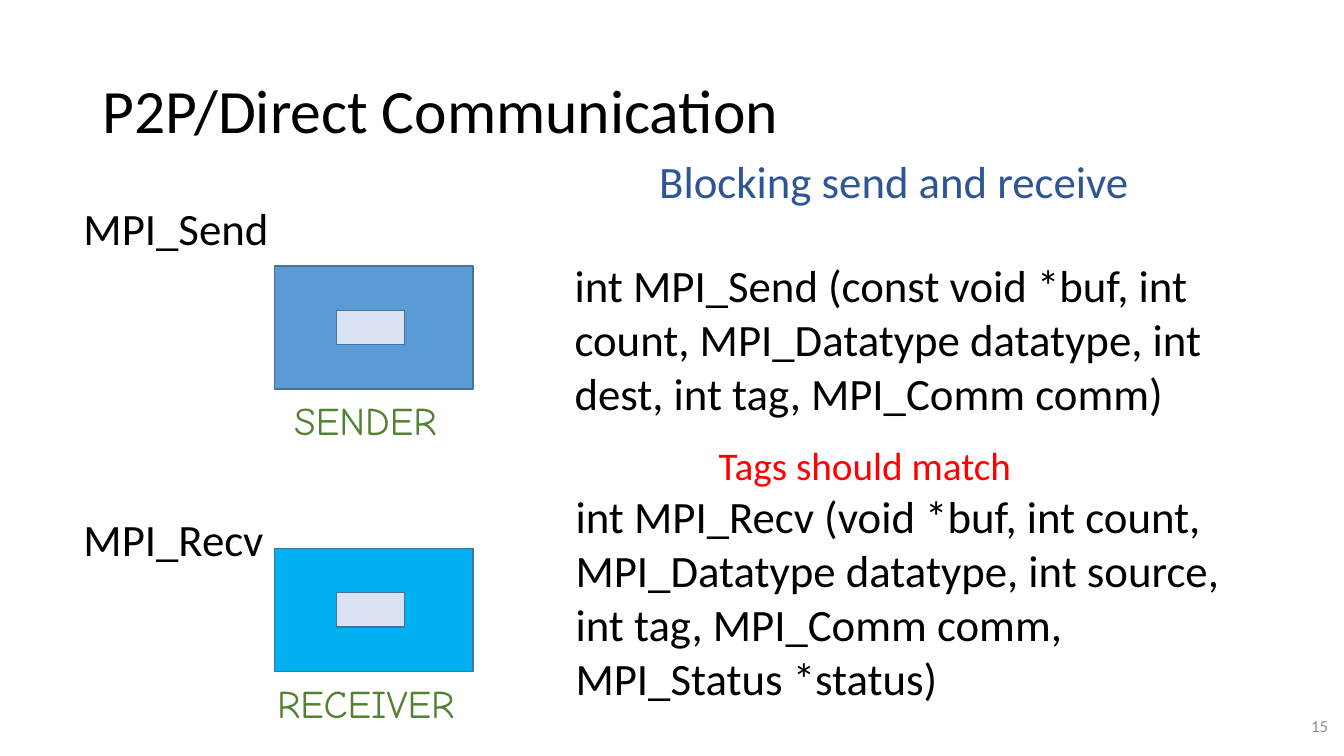
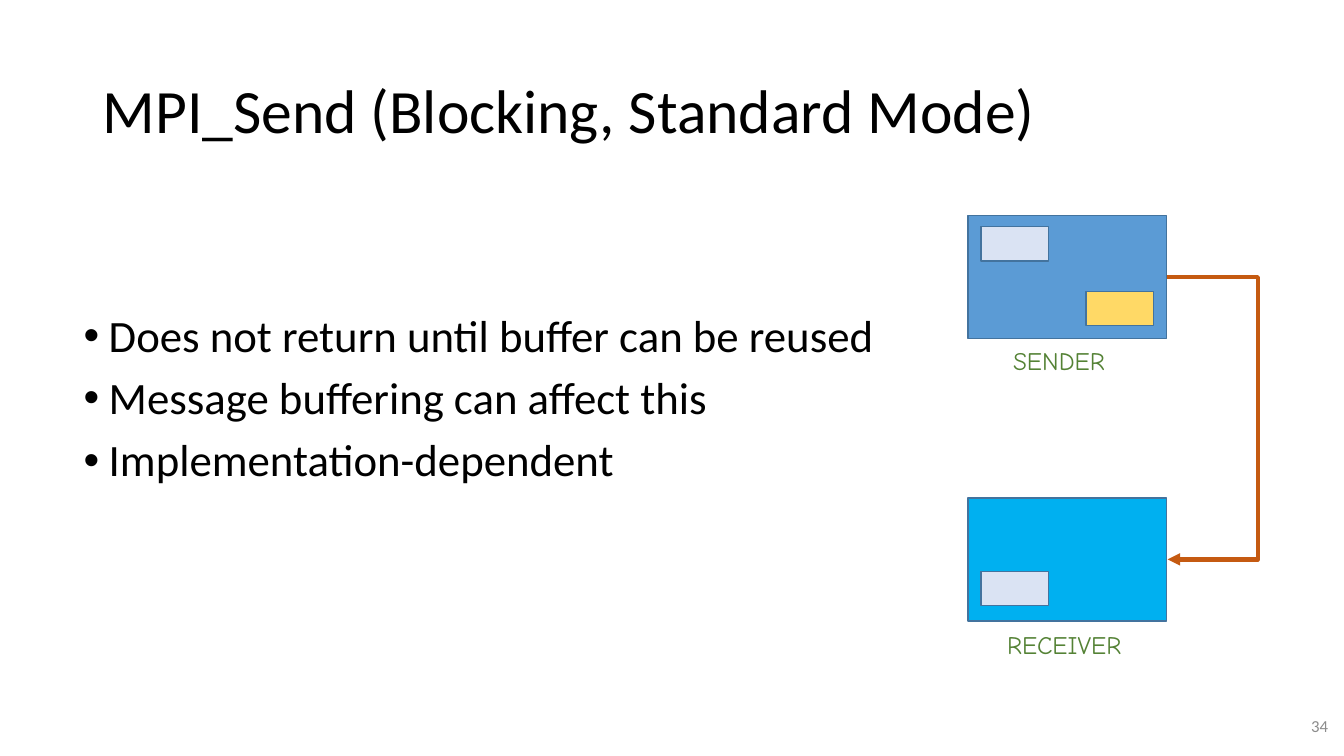
from lxml.etree import SubElement as Sub
from pptx import Presentation
from pptx.dml.color import RGBColor as RGB
from pptx.enum.shapes import MSO_CONNECTOR as Link, MSO_SHAPE as Kind
from pptx.enum.text import MSO_ANCHOR as Anchor, PP_ALIGN as Align
from pptx.oxml.ns import qn
from pptx.util import Inches, Pt

BLACK, GREEN, RED, NAVY, GRAY = "000000", "548235", "FF0000", "2F5597", "8C8C8C"
SEND, RECV, EDGE, RUST = "5B9BD5", "00B0F0", "43739E", "C55A11"
PALE, GOLD = "DAE3F3", "FFD966"
NODE_W, NODE_H = 1.97, 1.22
GAP = 2.8  # sender top to receiver top


def color(code):
    return RGB.from_string(code)


class Deck:
    font = "Calibri"
    hand = "Comic Neue"

    def __init__(self):
        self.prs = Presentation()
        self.prs.slide_width = Inches(13.33)
        self.prs.slide_height = Inches(7.5)

    def start(self, title, number):
        """Add a slide with its title and page number."""
        self.slide = self.prs.slides.add_slide(self.prs.slide_layouts[6])
        self.text([title], 0.92, 0.4, 11.5, 1.45, size=44, mid=True, tight=True)
        page = self.text([number], 10.27, 7, 3, 0.4, size=12, ink=GRAY, mid=True)
        page.paragraphs[0].alignment = Align.RIGHT

    def text(self, lines, x, y, w, h, size=32, ink=BLACK, font=None,
             mid=False, tight=False, dots=False):
        box = self.slide.shapes.add_textbox(*map(Inches, (x, y, w, h)))
        frame = box.text_frame
        frame.word_wrap = True
        frame.vertical_anchor = Anchor.MIDDLE if mid else Anchor.TOP
        for i, line in enumerate(lines):
            para = frame.add_paragraph() if i else frame.paragraphs[0]
            if dots:
                props = para._p.get_or_add_pPr()
                props.set("marL", str(Inches(0.25)))
                props.set("indent", str(Inches(-0.25)))
                Sub(props, qn("a:buFont")).set("typeface", "Arial")
                Sub(props, qn("a:buChar")).set("char", "•")
            if tight:
                para.line_spacing = 0.9
            if i:
                para.space_before = Pt(10)
            run = para.add_run()
            run.text = line
            run.font.name = font or self.font
            run.font.size = Pt(size)
            run.font.color.rgb = color(ink)
        return frame

    def rect(self, x, y, w, h, fill):
        box = self.slide.shapes.add_shape(Kind.RECTANGLE, *map(Inches, (x, y, w, h)))
        box.shadow.inherit = False
        box.fill.solid()
        box.fill.fore_color.rgb = color(fill)
        box.line.color.rgb = color(EDGE)
        box.line.width = Pt(1)

    def node(self, x, y, fill, *bufs):
        """Draw a process with buffers given as (dx, dy, fill)."""
        self.rect(x, y, NODE_W, NODE_H, fill)
        for dx, dy, tint in bufs:
            self.rect(x + dx, y + dy, 0.67, 0.34, tint)

    def label(self, word, x, y, size):
        self.text([word], x, y, 2.2, 0.5, size=size, ink=GREEN, font=self.hand)

    def elbow(self, x, y, drop, reach):
        """Draw an arrow that leaves to the right and returns lower down."""
        step = 0.01
        line = self.slide.shapes.add_connector(
            Link.ELBOW, *map(Inches, (x, y, x + step, y + drop)))
        line.line.color.rgb = color(RUST)
        line.line.width = Pt(3)
        props = line._element.spPr
        guides = props.find(qn("a:prstGeom")).get_or_add_avLst()
        guide = Sub(guides, qn("a:gd"))
        guide.set("name", "adj1")
        guide.set("fmla", f"val {round(reach / step * 100000)}")
        Sub(props.find(qn("a:ln")), qn("a:tailEnd")).set("type", "triangle")
        Sub(props, qn("a:effectLst"))


def calls(deck):
    deck.start("P2P/Direct Communication", "15")
    for name, y in (("MPI_Send", 2), ("MPI_Recv", 5.09)):
        deck.text([name], 0.73, y, 2.3, 0.6, tight=True)
    x, y = 2.72, 2.64
    buf = (0.62, 0.44, PALE)
    deck.node(x, y, SEND, buf)
    deck.node(x, y + GAP, RECV, buf)
    deck.label("SENDER", 2.82, 3.88, 28)
    deck.label("RECEIVER", 2.65, 6.69, 28)
    deck.text(["int MPI_Send (const void *buf, int count, MPI_Datatype datatype, "
               "int dest, int tag, MPI_Comm comm)"], 5.6, 2.5, 6.73, 1.72, mid=True)
    deck.text(["int MPI_Recv (void *buf, int count, MPI_Datatype datatype, "
               "int source, int tag, MPI_Comm comm, MPI_Status *status)"],
              5.61, 4.8, 7, 2.24, mid=True)
    deck.text(["Tags should match"], 7.03, 4.33, 3.4, 0.57, size=28, ink=RED)
    deck.text(["Blocking send and receive"], 6.44, 1.48, 5.2, 0.64, ink=NAVY)


def modes(deck):
    deck.start("MPI_Send (Blocking, Standard Mode)", "34")
    deck.text(["Does not return until buffer can be reused",
               "Message buffering can affect this",
               "Implementation-dependent"],
              0.73, 3.06, 8.49, 3.39, tight=True, dots=True)
    x, y = 9.6, 2.14
    deck.node(x, y, SEND, (0.13, 0.11, PALE), (1.17, 0.75, GOLD))
    deck.node(x, y + GAP, RECV, (0.13, 0.73, PALE))
    deck.label("SENDER", 9.95, 3.38, 18)
    deck.label("RECEIVER", 9.89, 6.19, 18)
    deck.elbow(x + NODE_W, y + NODE_H / 2, GAP, 0.92)


def main():
    deck = Deck()
    calls(deck)
    modes(deck)
    deck.prs.save("out.pptx")


if __name__ == "__main__":
    main()
